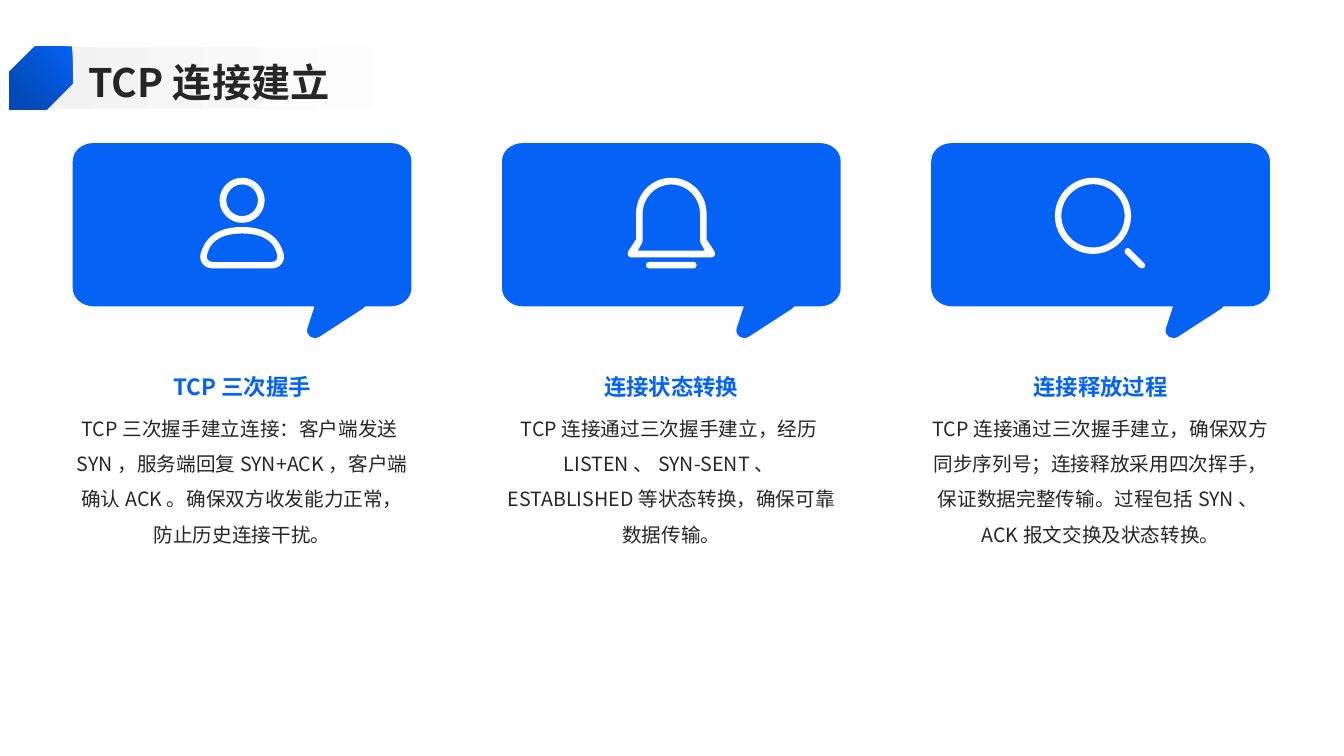
from dataclasses import dataclass
from typing import Any, NamedTuple

from lxml import etree
from pptx import Presentation
from pptx.dml.color import RGBColor
from pptx.enum.shapes import MSO_SHAPE
from pptx.enum.text import MSO_ANCHOR, PP_ALIGN
from pptx.oxml.ns import qn
from pptx.util import Pt

RECTANGLE = MSO_SHAPE.RECTANGLE
SNIPPED = MSO_SHAPE.SNIP_2_DIAG_RECTANGLE
TOP, MIDDLE, BOTTOM = MSO_ANCHOR.TOP, MSO_ANCHOR.MIDDLE, MSO_ANCHOR.BOTTOM
LEFT, CENTER = PP_ALIGN.LEFT, PP_ALIGN.CENTER


@dataclass(frozen=True)
class Theme:
    font: str = "Noto Sans CJK SC"
    blue: RGBColor = RGBColor(0x04, 0x62, 0xF5)
    deep_blue: RGBColor = RGBColor(0x03, 0x4A, 0xB8)
    ink: RGBColor = RGBColor(0x26, 0x26, 0x26)
    mist: RGBColor = RGBColor(0xF2, 0xF2, 0xF2)
    white: RGBColor = RGBColor(0xFF, 0xFF, 0xFF)
    title_size: float = 28
    heading_size: float = 16
    body_size: float = 14


THEME = Theme()


class Box(NamedTuple):
    left: float
    top: float
    width: float
    height: float


class Contour(NamedTuple):
    points: list[tuple[float, float]]
    segment_sizes: list[int]


class TextStyle(NamedTuple):
    font: dict[str, Any]
    color: RGBColor
    paragraph: dict[str, Any]
    anchor: MSO_ANCHOR


class Card(NamedTuple):
    icon: list[Contour]
    heading: str
    body: str


TITLE = TextStyle({"size": Pt(THEME.title_size), "bold": True}, THEME.ink,
                  {"alignment": LEFT, "line_spacing": 1.1}, MIDDLE)
HEADING = TextStyle({"size": Pt(THEME.heading_size), "bold": True}, THEME.blue,
                    {"alignment": CENTER, "line_spacing": 1.3}, BOTTOM)
BODY = TextStyle({"size": Pt(THEME.body_size), "bold": False}, THEME.ink,
                 {"alignment": CENTER, "line_spacing": 1.5}, TOP)

CARD_LEFT, CARD_PITCH, CARD_WIDTH = 52, 306.6, 241.92
BUBBLE_TOP, ICON_TOP = 102.24, 127
HEADING_TOP, HEADING_HEIGHT = 251.4, 34.4
BODY_TOP, BODY_HEIGHT = 289.2, 198


def trace(*segments: tuple[float, ...]) -> Contour:
    points = [pair for segment in segments for pair in zip(segment[::2], segment[1::2])]
    return Contour(points, [len(segment) // 2 for segment in segments[1:]])


def mirrored(half: Contour) -> Contour:
    back = [(-x, y) for x, y in reversed(half.points)]
    sizes = half.segment_sizes[::-1]
    if back[0] == half.points[-1]:
        return Contour(half.points + back[1:], half.segment_sizes + sizes)
    return Contour(half.points + back, half.segment_sizes + [1] + sizes)


def circle(x: float, y: float, radius: float) -> Contour:
    k = 0.55 * radius
    ring = mirrored(trace((0, -radius), (k, -radius, radius, -k, radius, 0),
                          (radius, k, k, radius, 0, radius)))
    return Contour([(x + dx, y + dy) for dx, dy in ring.points], ring.segment_sizes)


BUBBLE = [trace(
    (227.1, 0), (14.8, 0), (6.5, 0, 0, 5.8, 0, 13), (0, 103.6),
    (0, 110.5, 6.5, 116.6, 14.8, 116.6), (172.8, 116.6), (167.6, 132.5),
    (166.3, 137.5, 171.9, 141.1, 176.4, 138.2), (207.4, 118.1),
    (208.1, 117.4, 208.4, 116.6, 209, 116.6), (227.1, 116.6),
    (235.4, 116.6, 241.92, 110.5, 241.92, 103.6), (241.92, 13),
    (241.92, 5.8, 235.4, 0, 227.1, 0))]

PERSON = [
    circle(0, 16.1, 16.1),
    circle(0, 16.1, 11.3),
    mirrored(trace((0, 35.2), (19.6, 35.2, 26.9, 44.6, 29.6, 54),
                   (31.2, 59.8, 26.9, 64.8, 20.9, 64.8))),
    mirrored(trace((0, 39.8), (4.3, 39.8, 7.9, 40.3, 11.2, 41.2),
                   (14.2, 42, 16.5, 43.2, 18.5, 44.6),
                   (20.4, 46, 21.8, 47.6, 22.8, 49.3),
                   (23.8, 51, 24.6, 53, 25.1, 55.1),
                   (25.4, 57, 25, 58, 24.5, 58.6),
                   (23.8, 59.6, 22.6, 60.2, 20.9, 60.2))),
]

BELL = [
    mirrored(trace((0, 60.1), (15.8, 60.1), (17.2, 60.1, 18.1, 61.1, 18.1, 62.4),
                   (18.1, 63.8, 17.2, 64.8, 15.8, 64.8))),
    mirrored(trace((0, 4.8), (11.3, 4.8, 20.5, 14.2, 20.5, 25.8), (20.5, 45.1),
                   (20.5, 45.7, 20.6, 46.2, 20.9, 46.6), (24, 52.1))),
    mirrored(trace((0, 0), (3.6, 0, 6.8, 0.7, 9.8, 2), (12.9, 3.4, 15.7, 5.2, 18, 7.6),
                   (20.3, 10, 22, 12.8, 23.3, 15.9), (24.5, 19, 25.2, 22.3, 25.2, 25.7),
                   (25.2, 44), (30.8, 52.6), (31.3, 53.6, 31.3, 54.6, 30.9, 55.5),
                   (30.4, 56.4, 29.6, 56.9, 28.8, 56.9))),
]

MAGNIFIER = [
    circle(-5.4, 27.2, 27.2),
    circle(-5.4, 27.2, 22.6),
    trace((29.5, 64.8), (28.9, 64.8, 28.2, 64.6, 27.7, 64.1), (17.7, 54.1),
          (16.9, 53.2, 16.9, 51.8, 17.8, 50.8), (18.7, 50, 20.1, 50, 20.9, 50.8),
          (31.3, 61.2), (32.1, 62, 32.1, 63.4, 31.3, 64.2),
          (30.8, 64.6, 30.1, 64.8, 29.5, 64.8)),
]

CARDS = [
    Card(PERSON, "TCP三次握手",
         "TCP三次握手建立连接：客户端发送SYN，服务端回复SYN+ACK，客户端确认ACK。确保双方收发能力正常，防止历史连接干扰。"),
    Card(BELL, "连接状态转换",
         "TCP连接通过三次握手建立，经历LISTEN、SYN-SENT、ESTABLISHED等状态转换，确保可靠数据传输。"),
    Card(MAGNIFIER, "连接释放过程",
         "TCP连接通过三次握手建立，确保双方同步序列号；连接释放采用四次挥手，保证数据完整传输。过程包括SYN、ACK报文交换及状态转换。"),
]


def apply(target: Any, values: dict[str, Any]) -> None:
    for name, value in values.items():
        setattr(target, name, value)


def bend_segments(outline: Any, contours: list[Contour]) -> None:
    steps = iter(list(outline.element.iter(qn("a:lnTo"))))
    for size in (size for contour in contours for size in contour.segment_sizes):
        group = [next(steps) for _ in range(size)]
        if size == 3:
            curve = etree.Element(qn("a:cubicBezTo"))
            group[0].addprevious(curve)
            for step in group:
                curve.append(step[0])
                step.getparent().remove(step)


def draw_outline(shapes: Any, contours: list[Contour], left: float, top: float,
                 color: RGBColor) -> None:
    placed = [[(Pt(left + x), Pt(top + y)) for x, y in contour.points] for contour in contours]
    builder = shapes.build_freeform(*placed[0][0], scale=1.0)
    for index, (start, *rest) in enumerate(placed):
        if index:
            builder.move_to(*start)
        builder.add_line_segments(rest, close=True)
    outline = builder.convert_to_shape()
    bend_segments(outline, contours)
    outline.shadow.inherit = False
    outline.fill.solid()
    outline.fill.fore_color.rgb = color
    outline.line.fill.background()


def draw_text(shapes: Any, text: str, box: Box, style: TextStyle) -> None:
    frame = shapes.add_textbox(*map(Pt, box)).text_frame
    margins = dict.fromkeys(("margin_left", "margin_top", "margin_right", "margin_bottom"), 0)
    apply(frame, {"word_wrap": True, "vertical_anchor": style.anchor, **margins})
    paragraph = frame.paragraphs[0]
    apply(paragraph, style.paragraph)
    run = paragraph.add_run()
    run.text = text
    apply(run.font, {"name": THEME.font, **style.font})
    run.font.color.rgb = style.color
    latin = run.font._element.find(qn("a:latin"))
    latin.addnext(etree.Element(qn("a:ea"), typeface=THEME.font))


def draw_gradient(shapes: Any, preset: MSO_SHAPE, box: Box, colors: tuple[RGBColor, RGBColor],
                  angle: float) -> Any:
    panel = shapes.add_shape(preset, *map(Pt, box))
    panel.shadow.inherit = False
    panel.line.fill.background()
    panel.fill.gradient()
    panel.fill.gradient_angle = angle
    for stop, position, color in zip(panel.fill.gradient_stops, (0, 0.8), colors):
        stop.position = position
        stop.color.rgb = color
    return panel


def draw_card(shapes: Any, card: Card, left: float) -> None:
    draw_outline(shapes, BUBBLE, left, BUBBLE_TOP, THEME.blue)
    draw_outline(shapes, card.icon, left + CARD_WIDTH / 2, ICON_TOP, THEME.white)
    draw_text(shapes, card.body, Box(left, BODY_TOP, CARD_WIDTH, BODY_HEIGHT), BODY)
    draw_text(shapes, card.heading, Box(left, HEADING_TOP, CARD_WIDTH, HEADING_HEIGHT), HEADING)


def draw_title(shapes: Any) -> None:
    draw_gradient(shapes, RECTANGLE, Box(23.8, 33.4, 354.2, 44.6), (THEME.mist, THEME.white), 0)
    draw_text(shapes, "TCP连接建立", Box(63.2, 38.5, 855.4, 36.7), TITLE)
    badge = draw_gradient(shapes, SNIPPED, Box(6.8, 33.2, 45, 45),
                          (THEME.blue, THEME.deep_blue), 315)
    badge.adjustments[0], badge.adjustments[1] = 0, 0.408
    badge.element.spPr.find(qn("a:xfrm")).set("flipH", "1")


def main() -> None:
    deck = Presentation()
    apply(deck, {"slide_width": Pt(960), "slide_height": Pt(540)})
    shapes = deck.slides.add_slide(deck.slide_layouts[6]).shapes
    for column, card in enumerate(CARDS):
        draw_card(shapes, card, CARD_LEFT + column * CARD_PITCH)
    draw_title(shapes)
    deck.save("out.pptx")


if __name__ == "__main__":
    main()
